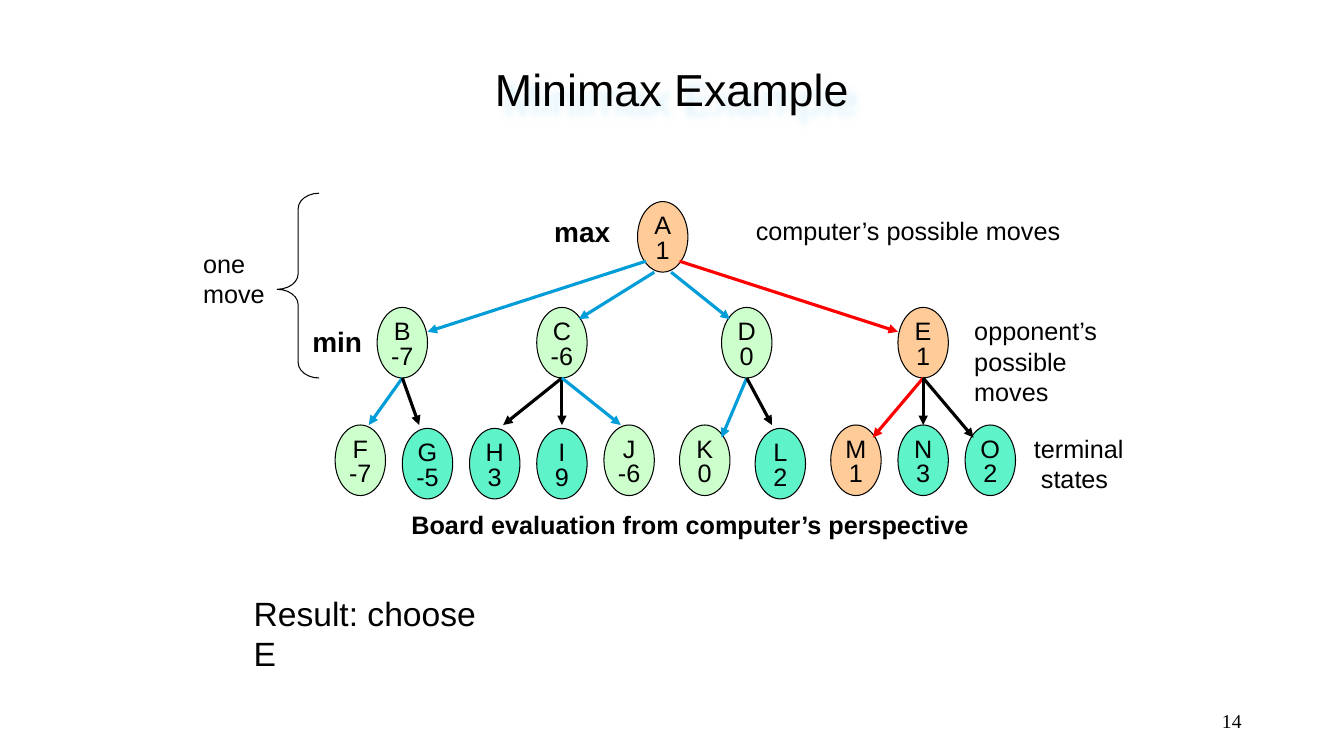
from lxml import etree
from pptx import Presentation, util as u
from pptx.dml.color import RGBColor
from pptx.enum import shapes, text
from pptx.oxml import ns

COLORS = {
    "ink": "000000", "chosen": "FFCC99", "best": "CCFFCC", "other": "5FF3CA",
    "chosen edge": "FF0000", "best edge": "009DD9", "other edge": "000000",
    "glow": "DDF2FA",
}
NODE_WIDTH, NODE_HEIGHT = 6, 8.4
ROOT_ROW, MOVE_ROW, LEAF_ROW, LOW_LEAF_ROW = 24, 36.6, 50.6, 51

MOVES = [
    ("B", "-7", 47.9, "best", (76.9, 31.1), (50.9, 39.5)),
    ("C", "-6", 66.9, "best", (77.9, 32.4), (68.9, 38)),
    ("D", "0", 88.9, "best", (79.9, 32.4), (86.9, 38)),
    ("E", "1", 109.9, "chosen", (80.9, 31.1), (106.9, 39.5)),
]
LEAVES = [
    ("B", "F", "-7", 42.9, LEAF_ROW, "best", 1),
    ("B", "G", "-5", 50.9, LOW_LEAF_ROW, "other", -1),
    ("C", "H", "3", 58.9, LOW_LEAF_ROW, "other", 1),
    ("C", "I", "9", 66.9, LOW_LEAF_ROW, "other", 0),
    ("C", "J", "-6", 74.9, LEAF_ROW, "best", -1),
    ("D", "K", "0", 83.9, LEAF_ROW, "best", 2),
    ("D", "L", "2", 92.9, LOW_LEAF_ROW, "other", -1),
    ("E", "M", "1", 101.9, LEAF_ROW, "chosen", 2),
    ("E", "N", "3", 109.9, LEAF_ROW, "other", 0),
    ("E", "O", "2", 117.9, LEAF_ROW, "other", -2),
]
LABELS = [
    (["computer’s possible moves"], (88.8, 25, 39, 4.8), {}),
    (["opponent’s", "possible moves"], (114.8, 37, 23, 8.4), {}),
    (["Board evaluation from computer’s perspective"], (47.8, 60, 68.8, 4.8), {"bold": True}),
    (["min"], (36, 38, 8.4, 5.3), {"size": u.Pt(20), "bold": True}),
    (["max"], (64.8, 25, 9.1, 5.3), {"size": u.Pt(20), "bold": True}),
    (["Result: choose E"], (29, 70, 32.6, 6), {"size": u.Pt(24)}),
]


class TreeSlide:
    """Draw a game tree on a slide with a grid of 160 columns and 90 rows."""

    font = {"name": "Arial", "size": u.Pt(18), "bold": False}

    def __init__(self, deck):
        self.slide = deck.slides.add_slide(deck.slide_layouts[6])
        self.column = deck.slide_width / 160
        self.row = deck.slide_height / 90

    def place(self, *cells):
        return [round(cell * (self.row if index % 2 else self.column))
                for index, cell in enumerate(cells)]

    def fill_text(self, box, lines, font=None, align=text.PP_ALIGN.LEFT, **frame_format):
        frame = box.text_frame
        for name, value in {"word_wrap": False, **frame_format}.items():
            setattr(frame, name, value)
        for index, line in enumerate(lines):
            para = frame.paragraphs[0] if index == 0 else frame.add_paragraph()
            para.alignment = align
            span = para.add_run()
            span.text = line
            for name, value in {**self.font, **(font or {})}.items():
                setattr(span.font, name, value)
            span.font.color.rgb = RGBColor.from_string(COLORS["ink"])
        return frame.paragraphs

    def label(self, lines, cells, font=None, **options):
        box = self.slide.shapes.add_textbox(*self.place(*cells))
        options = {"auto_size": text.MSO_AUTO_SIZE.SHAPE_TO_FIT_TEXT, **options}
        return box, self.fill_text(box, lines, font, **options)

    def outline(self, kind, cells):
        shape = self.slide.shapes.add_shape(kind, *self.place(*cells))
        shape.shadow.inherit = False
        shape.line.color.rgb = RGBColor.from_string(COLORS["ink"])
        shape.line.width = u.Pt(0.75)
        return shape

    def node(self, name, value, center, top, role):
        cells = (center - NODE_WIDTH / 2, top, NODE_WIDTH, NODE_HEIGHT)
        oval = self.outline(shapes.MSO_SHAPE.OVAL, cells)
        oval.fill.solid()
        oval.fill.fore_color.rgb = RGBColor.from_string(COLORS[role])
        paras = self.fill_text(oval, [name, value], align=text.PP_ALIGN.CENTER,
                               vertical_anchor=text.MSO_ANCHOR.MIDDLE)
        paras[1].line_spacing = 0.8

    def arrow(self, start, end, role):
        edge = self.slide.shapes.add_connector(
            shapes.MSO_CONNECTOR.STRAIGHT, *self.place(*start, *end))
        edge.line.color.rgb = RGBColor.from_string(COLORS[role + " edge"])
        edge.line.width = u.Pt(2.25)
        properties = edge._element.spPr
        etree.SubElement(properties.find(ns.qn("a:ln")), ns.qn("a:tailEnd"), type="triangle")
        etree.SubElement(properties, ns.qn("a:effectLst"))

    def brace(self, cells, adjustments):
        brace = self.outline(shapes.MSO_SHAPE.LEFT_BRACE, cells)
        brace.fill.background()
        for index, value in enumerate(adjustments):
            brace.adjustments[index] = value

    def glow(self, box):
        effects = etree.SubElement(box._element.spPr, ns.qn("a:effectLst"))
        shadow = etree.SubElement(effects, ns.qn("a:outerShdw"), blurRad="63500",
                                  dist="107763", dir="2700000")
        etree.SubElement(shadow, ns.qn("a:srgbClr"), val=COLORS["glow"])


def main():
    deck = Presentation()
    deck.slide_width, deck.slide_height = u.Inches(13.33), u.Inches(7.5)
    page = TreeSlide(deck)
    fixed = {"auto_size": text.MSO_AUTO_SIZE.NONE,
             "vertical_anchor": text.MSO_ANCHOR.MIDDLE}

    page.label(["14"], (113, 83.4, 36, 4.8), {"name": "Times New Roman", "size": u.Pt(14)},
               align=text.PP_ALIGN.RIGHT, word_wrap=True, **fixed)
    title, _ = page.label(["Minimax Example"], (28, 5, 104, 11), {"size": u.Pt(32)},
                          align=text.PP_ALIGN.CENTER, **fixed)
    page.glow(title)

    page.node("A", "1", 78.9, ROOT_ROW, "chosen")
    centers = {}
    for name, value, center, role, start, end in MOVES:
        page.node(name, value, center, MOVE_ROW, role)
        page.arrow(start, end, role)
        centers[name] = center
    for parent, name, value, center, top, role, shift in LEAVES:
        page.node(name, value, center, top, role)
        tip_row = LEAF_ROW + (1.5 if abs(shift) == 2 else 0)
        page.arrow((centers[parent], MOVE_ROW + NODE_HEIGHT), (center + shift, tip_row), role)

    for lines, cells, font in LABELS:
        page.label(lines, cells, font)
    _, paras = page.label(["terminal", "states"], (121.9, 51, 13.1, 8.4))
    paras[1]._p.get_or_add_pPr().set("marL", str(u.Inches(0.07)))
    page.label(["one move"], (23, 29, 10, 8.4), word_wrap=True)
    page.brace((33, 23, 5, 22), (0.37, 0.52))
    deck.save("out.pptx")


if __name__ == "__main__":
    main()
